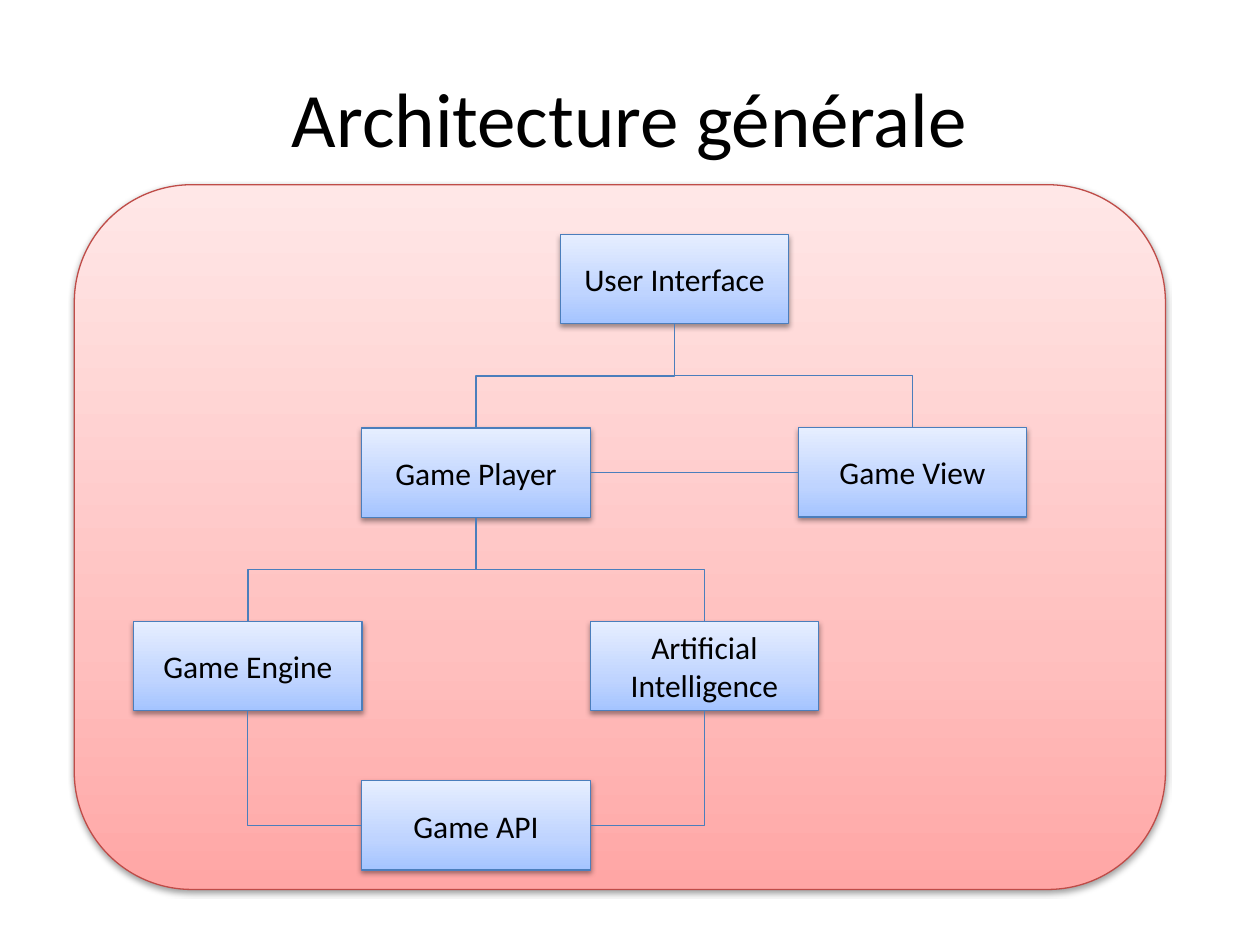
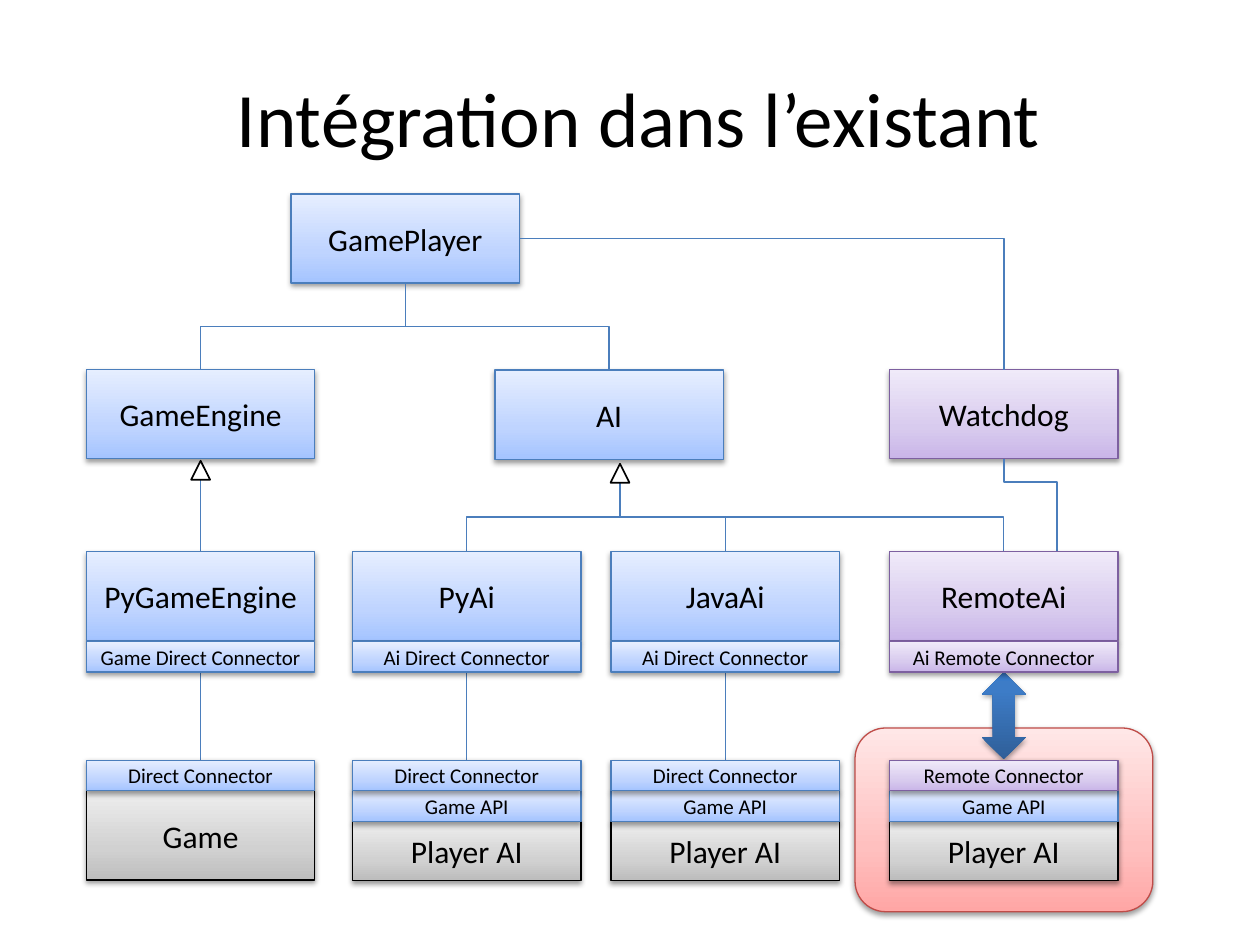
from copy import deepcopy
from lxml import etree
from pptx import Presentation
from pptx.dml.color import RGBColor
from pptx.enum.shapes import MSO_CONNECTOR, MSO_SHAPE
from pptx.enum.text import MSO_ANCHOR, PP_ALIGN
from pptx.oxml.ns import qn
from pptx.util import Pt

RECT = MSO_SHAPE.RECTANGLE
ROUND = MSO_SHAPE.ROUNDED_RECTANGLE
ARROW = MSO_SHAPE.UP_DOWN_ARROW
PEAK = MSO_SHAPE.ISOSCELES_TRIANGLE
ELBOW = MSO_CONNECTOR.ELBOW
PLAIN = MSO_CONNECTOR.STRAIGHT
MID = MSO_ANCHOR.MIDDLE
CENTER = PP_ALIGN.CENTER

HUES = {
    "ink": "000000", "white": "FFFFFF",
    "blue": "4B7EBC", "red": "BF4C48", "mauve": "7D60A0", "gray": "000000",
}
FADES = {
    "blue": [(0, "A4C4FF"), (0.35, "BFD4FF"), (1, "E6EEFF")],
    "red": [(0, "FFA6A5"), (0.35, "FFC0BF"), (1, "FFE7E7")],
    "mauve": [(0, "C9B5E8"), (0.35, "D8CBEE"), (1, "F0EAF9")],
    "gray": [(0, "BDBDBD"), (0.35, "D1D1D1"), (1, "EEEEEE")],
    "deep": [(0, "2F5F99"), (0.8, "3D7CC7"), (1, "3A7CCB")],
}
WIDE, TALL, THIN = 130.5, 51, 17.5
HALF = WIDE / 2


def box(text, x, y, w=WIDE, h=TALL, tone="blue", kind=RECT, size=18):
    area = [Pt(v) for v in (x, y, w, h)]
    if tone is None:
        shape = slide.shapes.add_textbox(*area)
    else:
        shape = slide.shapes.add_shape(kind, *area)
        shape.shadow.inherit = False
        props = shape._element.spPr
        if tone in HUES:
            shape.line.color.rgb = RGBColor.from_string(HUES[tone])
            shape.line.width = Pt(0.75)
        else:
            shape.line.fill.background()
        if tone in FADES:
            shape.fill.gradient()
            shape.fill.gradient_angle = 90
            stops = props.find(qn("a:gradFill")).find(qn("a:gsLst"))
            stops.append(deepcopy(stops[-1]))
            for stop, (place, hue) in zip(shape.fill.gradient_stops, FADES[tone]):
                stop.position = place
                stop.color.rgb = RGBColor.from_string(hue)
            glow = etree.SubElement(
                props.find(qn("a:effectLst")), qn("a:outerShdw"),
                blurRad=str(Pt(3.1)), dist=str(Pt(1.6)), dir="5400000", rotWithShape="0")
            black = etree.SubElement(glow, qn("a:srgbClr"), val=HUES["ink"])
            etree.SubElement(black, qn("a:alpha"), val="38000")
        else:
            shape.fill.solid()
            shape.fill.fore_color.rgb = RGBColor.from_string(HUES["white"])
            shape.line.width = Pt(1)
    if text:
        frame = shape.text_frame
        frame.word_wrap = True
        frame.vertical_anchor = MID
        para = frame.paragraphs[0]
        para.alignment = CENTER
        run = para.add_run()
        run.text = text
        run.font.name = "Calibri"
        run.font.size = Pt(size)
        run.font.color.rgb = RGBColor.from_string(HUES["ink"])


def link(x1, y1, x2, y2, form="line", bend=0.5):
    ends = x1, y1, x2, y2
    if form == "tree":
        mx, my = (x1 + x2) / 2, (y1 + y2) / 2
        dx, dy = abs(x2 - x1) / 2, (y2 - y1) / 2
        side = dy if x2 > x1 else -dy
        ends = mx + side, my - dx, mx - side, my + dx
    wire = slide.shapes.add_connector(
        PLAIN if form == "line" else ELBOW, *[Pt(v) for v in ends])
    wire.line.color.rgb = RGBColor.from_string(HUES["blue"])
    wire.line.width = Pt(0.75)
    props = wire._element.spPr
    etree.SubElement(props, qn("a:effectLst"))
    geom = props.find(qn("a:prstGeom"))
    if form == "tree":
        props.find(qn("a:xfrm")).set("rot", "16200000" if x2 > x1 else "5400000")
        etree.SubElement(geom.find(qn("a:avLst")), qn("a:gd"),
                         name="adj1", fmla=f"val {round(bend * 100000)}")
    if form == "corner":
        geom.set("prst", "bentConnector2")


deck = Presentation()
deck.slide_width, deck.slide_height = Pt(720), Pt(540)
blank = deck.slide_layouts[6]

slide = deck.slides.add_slide(blank)
box("", 42.5, 105.6, 623.5, 402.7, tone="red", kind=ROUND)
box("Architecture générale", 36, 21.6, 648, 90, tone=None, size=44)
nodes = {
    "User Interface": (320.2, 134),
    "Game Player": (206.8, 244.6),
    "Game View": (456.2, 244.4),
    "Game Engine": (76.4, 355.2),
    "Artificial Intelligence": (337.3, 355.2),
    "Game API": (206.8, 446.2),
}
for name, (x, y) in nodes.items():
    box(name, x, y)
for top, low in (
    ("User Interface", "Game Player"), ("User Interface", "Game View"),
    ("Game Player", "Game Engine"), ("Game Player", "Artificial Intelligence"),
):
    (x1, y1), (x2, y2) = nodes[top], nodes[low]
    link(x1 + HALF, y1 + TALL, x2 + HALF, y2, form="tree")
link(206.8 + WIDE, 270, 456.2, 270)
x, y = nodes["Game API"]
for start, name in ((x, "Game Engine"), (x + WIDE, "Artificial Intelligence")):
    x2, y2 = nodes[name]
    link(start, y + TALL / 2, x2 + HALF, y2 + TALL, form="corner")

slide = deck.slides.add_slide(blank)
box("", 488.6, 416, 170.2, 105, tone="red", kind=ROUND)
box("Intégration dans l’existant", 41, 21.6, 648, 90, tone=None, size=44)
box("", 561, 384.2, 25.2, 49.7, tone="deep", kind=ARROW)

cols = [49.4, 201.5, 349.2, 508.4]
mids = [x + HALF for x in cols]
root, ai = 166.4, 282.8
row1, row2, row3, plug, port = 110.8, 211.2, 315.2, 366.6, 434.4
box("GamePlayer", root, row1)
box("GameEngine", cols[0], row2)
box("AI", ai, row2 + 0.3)
box("Watchdog", cols[3], row2, tone="mauve")
for x in (mids[0], ai + HALF):
    link(root + HALF, row1 + TALL, x, row2, form="tree")
link(root + WIDE, row1 + TALL / 2, mids[3], row2, form="corner")
link(mids[3], row2 + TALL, 604, row3, form="tree", bend=0.25)

hub = 354.3
link(mids[0], 273.8, mids[0], row3)
for x in mids[1:]:
    link(hub, 275.6, x, row3, form="tree")
for x, y in ((mids[0], 263.3), (hub, 265)):
    box("", x - 5.4, y, 10.8, 10.8, tone="ink", kind=PEAK)

stacks = [
    ("PyGameEngine", "Game Direct Connector", "Direct Connector", "Game", "blue"),
    ("PyAi", "Ai Direct Connector", "Direct Connector", "Player AI", "blue"),
    ("JavaAi", "Ai Direct Connector", "Direct Connector", "Player AI", "blue"),
    ("RemoteAi", "Ai Remote Connector", "Remote Connector", "Player AI", "mauve"),
]
for x, mid, (name, upper, lower, base, tone) in zip(cols, mids, stacks):
    box(name, x, row3, tone=tone)
    if tone == "blue":
        link(mid, plug + THIN, mid, port)
    if base == "Game":
        box(base, x, port + THIN, tone="gray")
    else:
        box(base, x, port + 2 * THIN, h=33.7, tone="gray")
        box("Game API", x, port + THIN, h=THIN, size=12)
    box(upper, x, plug, h=THIN, tone=tone, size=12)
    box(lower, x, port, h=THIN, tone=tone, size=12)

deck.save("out.pptx")
